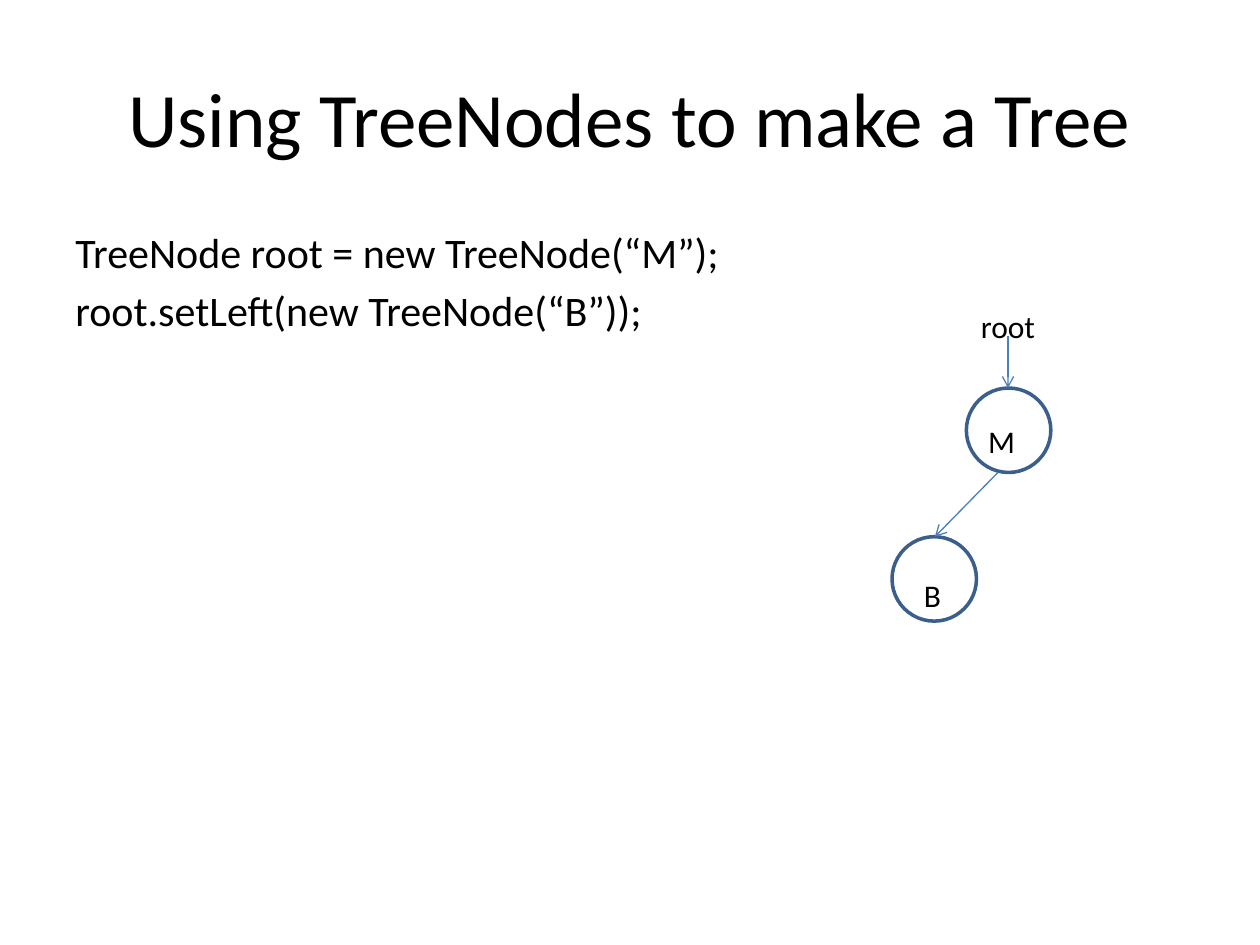
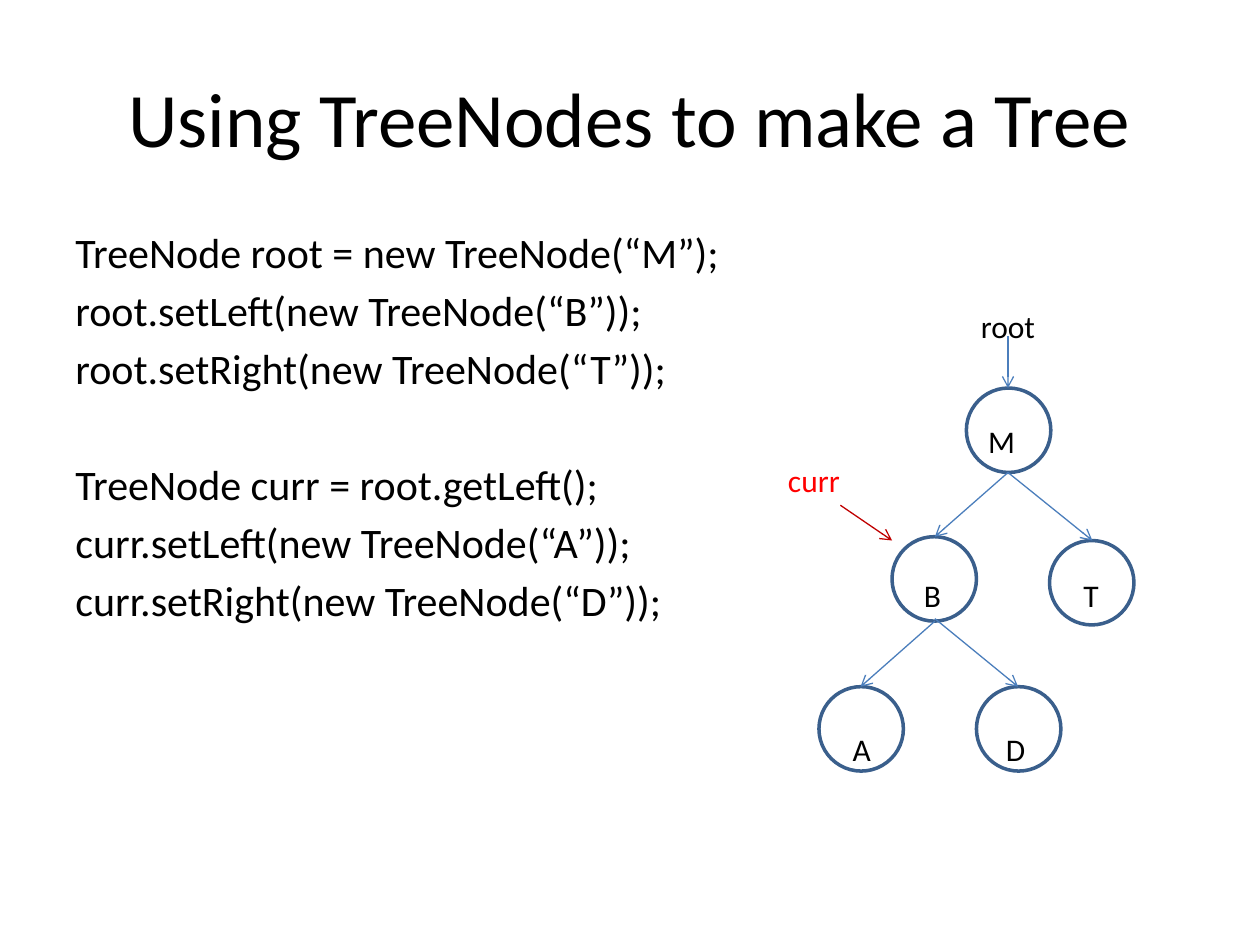
from dataclasses import dataclass

from lxml import etree
from pptx import Presentation
from pptx.dml.color import RGBColor
from pptx.enum.shapes import MSO_CONNECTOR, MSO_SHAPE
from pptx.enum.text import MSO_ANCHOR, PP_ALIGN
from pptx.oxml.ns import qn
from pptx.slide import Slide
from pptx.text.text import TextFrame, _Paragraph
from pptx.util import Inches, Pt


@dataclass(frozen=True)
class Theme:
    font: str = "Calibri"
    text: str = "000000"
    highlight: str = "FF0000"
    ring: str = "3A5F8C"
    arrow: str = "4B7EBC"
    pointer: str = "C00000"
    title_size: float = 44
    code_size: float = 24
    label_size: float = 18
    code_gap: float = 4.3
    block_gap: float = 37.7
    ring_width: float = 2
    arrow_width: float = 0.75


@dataclass(frozen=True)
class Node:
    left: float
    top: float


@dataclass(frozen=True)
class Label:
    text: str
    center_x: float
    row: int
    color: str


@dataclass(frozen=True)
class Arrow:
    start: tuple[float, float]
    end: tuple[float, float]
    color: str


@dataclass(frozen=True)
class TreeSlide:
    code_blocks: list[list[str]]
    nodes: list[Node]
    labels: list[Label]
    arrows: list[Arrow]


THEME = Theme()
TITLE = "Using TreeNodes to make a Tree"
NODE_SIZE = 0.67
LABEL_WIDTH, LABEL_HEIGHT = 0.8, 0.305
LABEL_TOP = 2.13  # labels sit on a grid of text rows


def add_text_frame(slide: Slide, left: float, top: float, width: float,
                   height: float, anchor: MSO_ANCHOR) -> TextFrame:
    shape = slide.shapes.add_textbox(Inches(left), Inches(top), Inches(width), Inches(height))
    frame = shape.text_frame
    frame.word_wrap = True
    frame.vertical_anchor = anchor
    return frame


def add_run(paragraph: _Paragraph, text: str, size: float, color: str = THEME.text) -> None:
    run = paragraph.add_run()
    run.text = text
    run.font.name = THEME.font
    run.font.size = Pt(size)
    run.font.color.rgb = RGBColor.from_string(color)


def add_title(slide: Slide) -> None:
    paragraph = add_text_frame(slide, 0.5, 0.3, 9, 1.25, MSO_ANCHOR.MIDDLE).paragraphs[0]
    paragraph.alignment = PP_ALIGN.CENTER
    add_run(paragraph, TITLE, THEME.title_size)


def add_code(slide: Slide, blocks: list[list[str]]) -> None:
    frame = add_text_frame(slide, 0.5, 1.75, 5.6, 4.95, MSO_ANCHOR.TOP)
    for block_index, block in enumerate(blocks):
        for line_index, line in enumerate(block):
            opens_block = block_index > 0 and line_index == 0
            first = block_index == line_index == 0
            paragraph = frame.paragraphs[0] if first else frame.add_paragraph()
            paragraph.space_before = Pt(THEME.block_gap if opens_block else THEME.code_gap)
            add_run(paragraph, line, THEME.code_size)


def add_node(slide: Slide, node: Node) -> None:
    shape = slide.shapes.add_shape(MSO_SHAPE.OVAL, Inches(node.left), Inches(node.top),
                                   Inches(NODE_SIZE), Inches(NODE_SIZE))
    shape.shadow.inherit = False
    shape.fill.background()
    shape.line.color.rgb = RGBColor.from_string(THEME.ring)
    shape.line.width = Pt(THEME.ring_width)


def add_label(slide: Slide, label: Label) -> None:
    frame = add_text_frame(slide, label.center_x - LABEL_WIDTH / 2,
                           LABEL_TOP + label.row * LABEL_HEIGHT,
                           LABEL_WIDTH, LABEL_HEIGHT, MSO_ANCHOR.TOP)
    frame.margin_left = frame.margin_right = frame.margin_top = frame.margin_bottom = 0
    paragraph = frame.paragraphs[0]
    paragraph.alignment = PP_ALIGN.CENTER
    add_run(paragraph, label.text, THEME.label_size, label.color)


def add_arrow(slide: Slide, arrow: Arrow) -> None:
    points = [Inches(value) for value in (*arrow.start, *arrow.end)]
    connector = slide.shapes.add_connector(MSO_CONNECTOR.STRAIGHT, *points)
    connector.line.color.rgb = RGBColor.from_string(arrow.color)
    connector.line.width = Pt(THEME.arrow_width)
    etree.SubElement(connector.line._get_or_add_ln(), qn("a:tailEnd"), type="arrow")
    etree.SubElement(connector._element.spPr, qn("a:effectLst"))


# Parts that both slides share
ROOT_CODE = ["TreeNode root = new TreeNode(“M”);", "root.setLeft(new TreeNode(“B”));"]
ROOT_NODES = [Node(7.67, 3.08), Node(7.08, 4.26)]
ROOT_LABELS = [Label("root", 8, 1, THEME.text), Label("M", 7.95, 4, THEME.text),
               Label("B", 7.4, 8, THEME.text)]
ROOT_ARROW = Arrow((8, 2.67), (8, 3.08), THEME.arrow)

TREE_SLIDES = [
    TreeSlide(
        [ROOT_CODE], ROOT_NODES, ROOT_LABELS,
        [ROOT_ARROW, Arrow((7.92, 3.75), (7.42, 4.26), THEME.arrow)],
    ),
    TreeSlide(
        [ROOT_CODE + ["root.setRight(new TreeNode(“T”));"],
         ["TreeNode curr = root.getLeft();", "curr.setLeft(new TreeNode(“A”));",
          "curr.setRight(new TreeNode(“D”));"]],
        ROOT_NODES + [Node(8.33, 4.29), Node(6.5, 5.45), Node(7.75, 5.45)],
        ROOT_LABELS + [Label("curr", 6.46, 5, THEME.highlight),
                       Label("T", 8.66, 8, THEME.text),
                       Label("A", 6.84, 12, THEME.text),
                       Label("D", 8.06, 12, THEME.text)],
        [ROOT_ARROW,
         Arrow((8, 3.75), (7.42, 4.26), THEME.arrow),
         Arrow((8, 3.75), (8.67, 4.29), THEME.arrow),
         Arrow((7.42, 4.93), (6.83, 5.45), THEME.arrow),
         Arrow((7.42, 4.91), (8.08, 5.45), THEME.arrow),
         Arrow((6.67, 4.01), (7.08, 4.29), THEME.pointer)],
    ),
]

# Build the slides
presentation = Presentation()
presentation.slide_width, presentation.slide_height = Inches(10), Inches(7.5)
for content in TREE_SLIDES:
    slide = presentation.slides.add_slide(presentation.slide_layouts[6])
    add_title(slide)
    add_code(slide, content.code_blocks)
    for node in content.nodes:
        add_node(slide, node)
    for arrow in content.arrows:
        add_arrow(slide, arrow)
    for label in content.labels:
        add_label(slide, label)
presentation.save("out.pptx")
